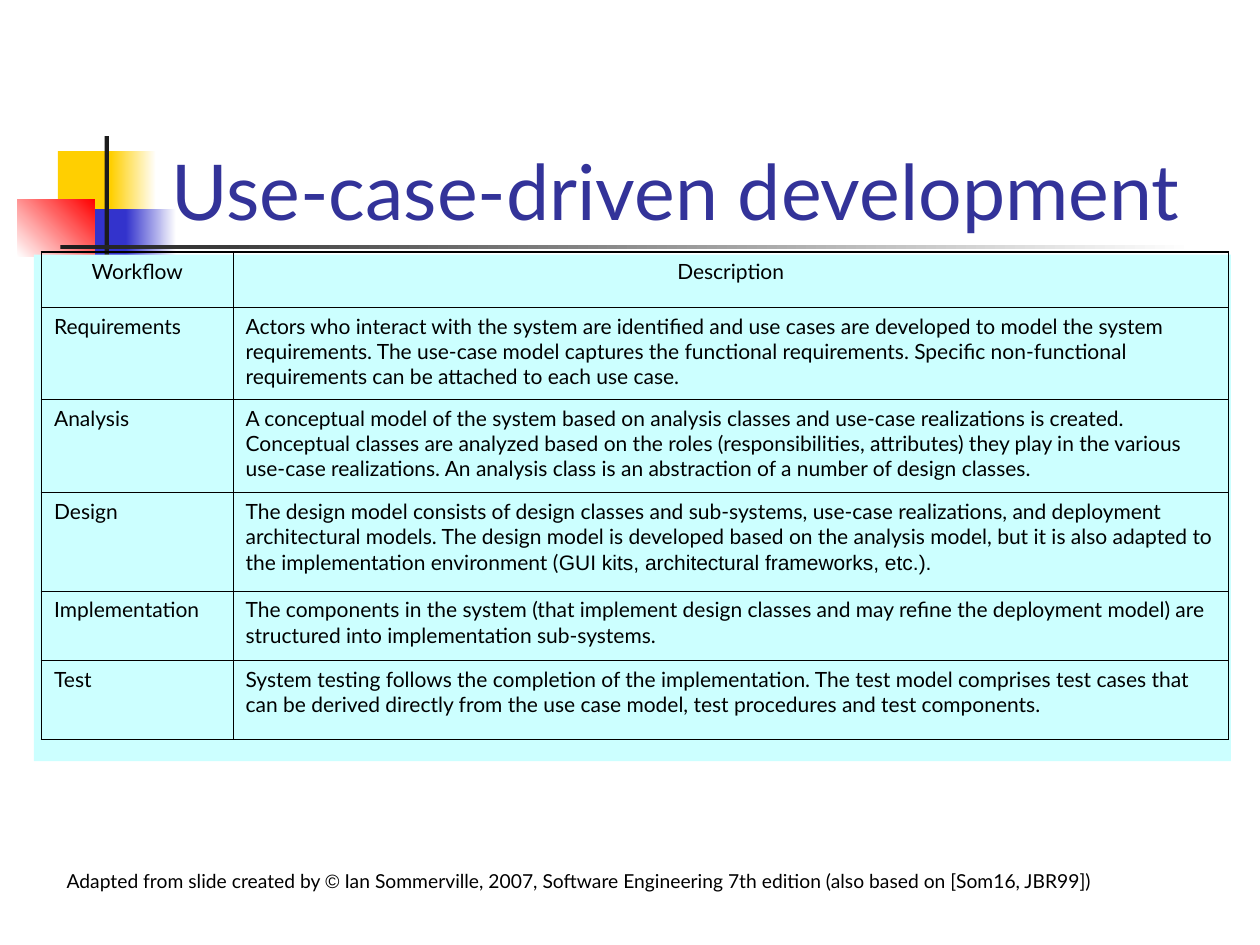
"""Build the use-case-driven development slide with its workflow table."""
from dataclasses import dataclass

from lxml.etree import SubElement
from pptx import Presentation
from pptx.dml.color import RGBColor as Rgb
from pptx.enum.shapes import MSO_SHAPE as Shape
from pptx.enum.text import MSO_ANCHOR as Anchor, MSO_AUTO_SIZE as AutoSize, PP_ALIGN as Align
from pptx.oxml.ns import qn
from pptx.util import Inches, Pt


@dataclass(frozen=True)
class Theme:
    font: str = "Lato"
    alternate_font: str = "Arial"
    title_size: float = 44
    table_size: float = 12
    credit_size: float = 11
    thick_line: float = 1.08
    thin_line: float = 0.45
    title: str = "333399"
    text: str = "000000"
    panel: str = "CCFFFF"
    yellow: str = "FFCF01"
    blue: str = "3333CC"
    red: str = "FF0000"
    dark: str = "1C1C1C"
    white: str = "FFFFFF"


theme = Theme()
deck = Presentation()
deck.slide_width, deck.slide_height = Inches(10), Inches(7.5)
COLUMN, ROW = deck.slide_width / 100, deck.slide_height / 75


def grid(left, top, width, height):
    return [round(left * COLUMN), round(top * ROW), round(width * COLUMN), round(height * ROW)]


def style(font, size, color):
    font.name, font.size = theme.font, Pt(size)
    font.color.rgb = Rgb.from_string(color)


page = deck.slides.add_slide(deck.slide_layouts[5])

blocks = [
    ((4.6, 12, 4.8, 5.2), [theme.yellow], 0),
    ((8.8, 12, 3.6, 5.2), [theme.yellow, theme.white], 0),
    ((5.9, 16.6, 4.6, 5.2), [theme.blue], 0),
    ((10, 16.6, 4, 5.2), [theme.blue, theme.white], 0),
    ((1.4, 15.8, 6.1, 4.6), [theme.white, theme.red], 45),
    ((8.3, 10.8, 0.35, 11.5), [theme.dark], 0),
    ((4.8, 19.45, 90, 0.35), [theme.dark, theme.white], 0),
    ((2.7, 20.2, 95, 40.2), [theme.panel], 0),
]
for area, colors, angle in blocks:
    block = page.shapes.add_shape(Shape.RECTANGLE, *grid(*area))
    block.shadow.inherit = False
    block.line.fill.background()
    if len(colors) == 1:
        block.fill.solid()
        block.fill.fore_color.rgb = Rgb.from_string(colors[0])
    else:
        block.fill.gradient()
        block.fill.gradient_angle = angle
        for stop, color in zip(block.fill.gradient_stops, colors):
            stop.color.rgb = Rgb.from_string(color)

title = page.shapes.title
block.element.addnext(title.element)
title.left, title.top, title.width, title.height = grid(12.6, 6.7, 85.2, 12.5)
title.text_frame.text = "Use-case-driven development"
title.text_frame.auto_size = AutoSize.NONE
title.text_frame.vertical_anchor = Anchor.BOTTOM
title_para = title.text_frame.paragraphs[0]
title_para.alignment = Align.LEFT
style(title_para.font, theme.title_size, theme.title)

credit = page.shapes.add_textbox(*grid(4.3, 68.7, 91.7, 2.7))
credit.text_frame.word_wrap = True
credit_para = credit.text_frame.paragraphs[0]
credit_para.line_spacing = 0.9
for text, font_name in [
    ("Adapted from slide created by ", theme.font),
    ("©", theme.alternate_font),
    (" Ian Sommerville, 2007, Software Engineering 7th edition "
     "(also based on [Som16, JBR99])", theme.font),
]:
    span = credit_para.add_run()
    span.text = text
    style(span.font, theme.credit_size, theme.text)
    span.font.name = font_name

workflows = [
    ("Workflow", ["Description"], 4.4),
    ("Requirements", [
        "Actors who interact with the system are identified and use cases are developed to "
        "model the system requirements. The use-case model captures the functional "
        "requirements. Specific non-functional requirements can be attached to each use case."
    ], 7.3),
    ("Analysis", [
        "A conceptual model of the system based on analysis classes and use-case realizations "
        "is created. Conceptual classes are analyzed based on the roles (responsibilities, "
        "attributes) they play in the various use-case realizations. An analysis class is an "
        "abstraction of a number of design classes."
    ], 7.4),
    ("Design", [
        "The design model consists of design classes and sub-systems, use-case realizations, "
        "and deployment architectural models. The design model is developed based on the "
        "analysis model, but it is also adapted to the implementation environment (",
        "GUI kits, architectural frameworks, etc.).",
    ], 7.8),
    ("Implementation", [
        "The components in the system (that implement design classes and may refine the "
        "deployment model) are structured into implementation sub-systems."
    ], 5.5),
    ("Test", [
        "System testing follows the completion of the implementation. The test model comprises "
        "test cases that can be derived directly from the use case model, test procedures and "
        "test components."
    ], 6.3),
]
table_height = sum(height for _, _, height in workflows)
table = page.shapes.add_table(len(workflows), 2, *grid(3.3, 20, 94.2, table_height)).table
table.first_row = table.horz_banding = False
for column, width in zip(table.columns, (15.2, 79)):
    column.width = round(width * COLUMN)

last_row = len(workflows) - 1
for row, (name, description, height) in enumerate(workflows):
    table.rows[row].height = round(height * ROW)
    for column, texts in enumerate(([name], description)):
        cell = table.cell(row, column)
        para = cell.text_frame.paragraphs[0]
        para.alignment = Align.CENTER if row == 0 else Align.LEFT
        for text, font_name in zip(texts, (theme.font, theme.alternate_font)):
            span = para.add_run()
            span.text = text
            style(span.font, theme.table_size, theme.text)
            span.font.name = font_name
        outer_edges = {"L": column == 0, "R": column == 1, "T": row == 0, "B": row == last_row}
        properties = cell._tc.get_or_add_tcPr()
        for side, is_outer in outer_edges.items():
            weight = theme.thick_line if is_outer else theme.thin_line
            border = SubElement(properties, qn(f"a:ln{side}"), w=str(Pt(weight)))
            border_fill = SubElement(border, qn("a:solidFill"))
            SubElement(border_fill, qn("a:srgbClr"), val=theme.text)
        cell.fill.background()

deck.save("out.pptx")
